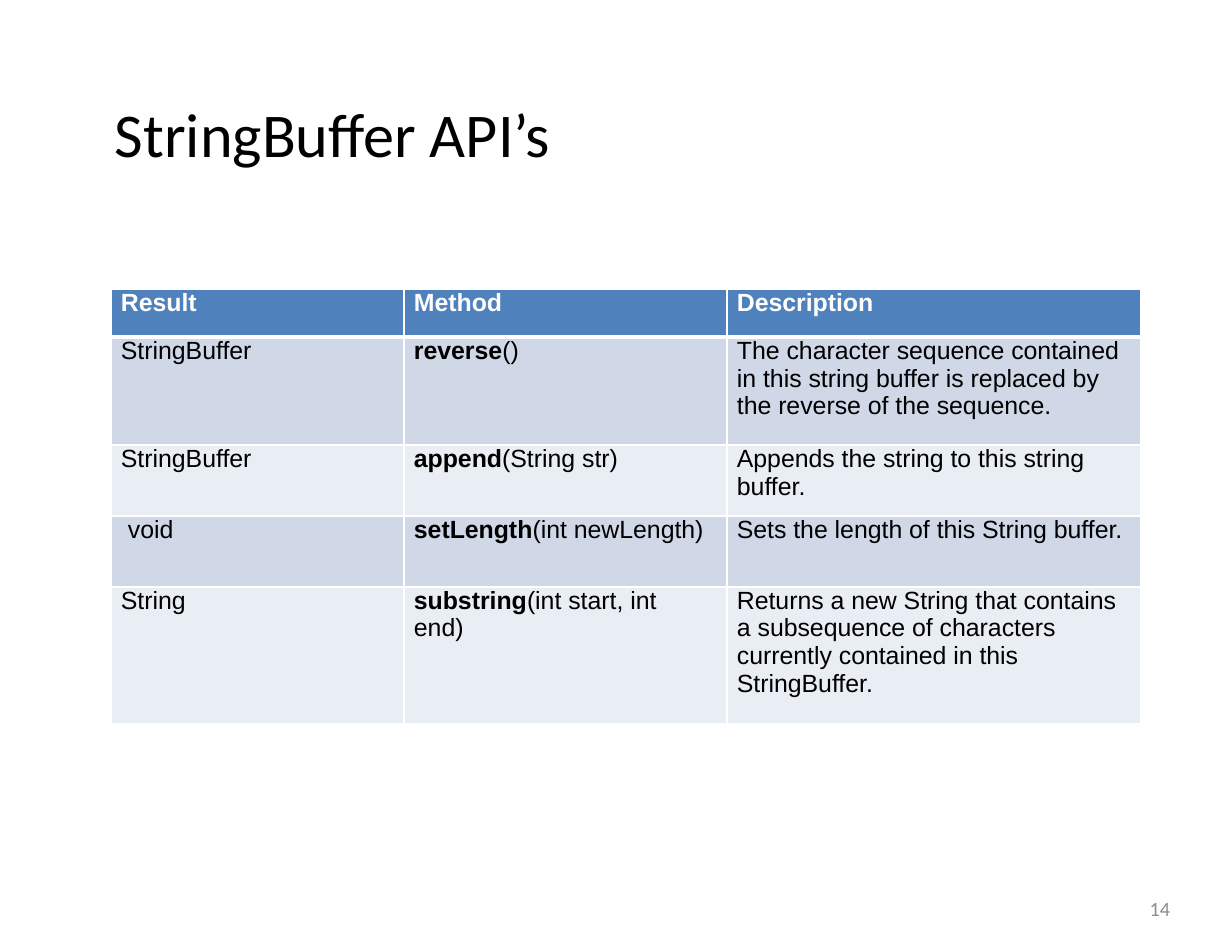
import pptx
import pptx.util
import pptx.oxml
import pptx.oxml.ns
import pptx.dml.color
import pptx.enum.text

RGB = pptx.dml.color.RGBColor
BLACK = RGB(0x00, 0x00, 0x00)
WHITE = RGB(0xFF, 0xFF, 0xFF)
GRAY = RGB(0x8C, 0x8C, 0x8C)
HEADER_BLUE = RGB(0x4F, 0x81, 0xBD)
BANDS = [RGB(0xD0, 0xD8, 0xE8), RGB(0xE9, 0xED, 0xF4)]

# Content
TITLE = "StringBuffer API’s"
PAGE_NUMBER = "14"
HEADINGS = ["Result", "Method", "Description"]
METHODS = [  # result, method name, arguments, description
    ("StringBuffer", "reverse", "()",
     "The character sequence contained in this string buffer is replaced by "
     "the reverse of the sequence."),
    ("StringBuffer", "append", "(String str)",
     "Appends the string to this string buffer."),
    ("void", "setLength", "(int newLength)",
     "Sets the length of this String buffer."),
    ("String", "substring", "(int start, int end)",
     "Returns a new String that contains a subsequence of characters "
     "currently contained in this StringBuffer."),
]

# Layout in px
PAGE = (1232, 952)
TITLE_BOX = (115, 95, 994, 75)
NUMBER_BOX = (883, 883, 287, 50)
TABLE_LEFT, TABLE_TOP = 111, 289
COLUMN_WIDTHS = [293, 323, 414]
ROW_HEIGHTS = [48, 108, 71, 71, 137]
CELL_INDENT = 10
VOID_INDENT = 17
RIGHT_MARGINS = [0, 18, 10]
THIN, THICK = 1.1, 3.1  # border widths in points


def px(length):
    return pptx.util.Emu(round(length * 914400 / 112))


def add_span(para, text, **formats):
    span = para.add_run()
    span.text = text
    color = formats.pop("color")
    formats["size"] = pptx.util.Pt(formats["size"])
    for name, value in formats.items():
        setattr(span.font, name, value)
    span.font.color.rgb = color


def add_text(page, place, text, align, **formats):
    box = page.shapes.add_textbox(*map(px, place))
    frame_formats = dict(word_wrap=True, margin_left=0, margin_right=0,
                         margin_top=0, margin_bottom=0,
                         vertical_anchor=pptx.enum.text.MSO_ANCHOR.MIDDLE)
    for name, value in frame_formats.items():
        setattr(box.text_frame, name, value)
    para = box.text_frame.paragraphs[0]
    para.alignment = align
    add_span(para, text, name="Calibri", **formats)


def set_borders(cell, top, bottom):
    properties = cell._tc.get_or_add_tcPr()
    sides = [("lnL", THIN), ("lnR", THIN), ("lnT", top), ("lnB", bottom)]
    for index, (side, width) in enumerate(sides):
        line = pptx.oxml.parse_xml(
            f'<a:{side} {pptx.oxml.ns.nsdecls("a")} w="{pptx.util.Pt(width)}">'
            f'<a:solidFill><a:srgbClr val="{WHITE}"/></a:solidFill></a:{side}>')
        properties.insert(index, line)


def add_method_table(page):
    rows = [[[(heading, True)] for heading in HEADINGS]]
    for result, method, arguments, description in METHODS:
        rows.append([[(result, False)],
                     [(method, True), (arguments, False)],
                     [(description, False)]])
    table = page.shapes.add_table(
        len(rows), len(HEADINGS), px(TABLE_LEFT), px(TABLE_TOP),
        px(sum(COLUMN_WIDTHS)), px(sum(ROW_HEIGHTS))).table
    for column, width in zip(table.columns, COLUMN_WIDTHS):
        column.width = px(width)
    for row, height in zip(table.rows, ROW_HEIGHTS):
        row.height = px(height)

    for r, row in enumerate(rows):
        for c, spans in enumerate(row):
            cell = table.cell(r, c)
            indent = VOID_INDENT if spans[0][0] == "void" else CELL_INDENT
            margins = dict(margin_left=px(indent), margin_top=0,
                           margin_right=px(RIGHT_MARGINS[c]), margin_bottom=0)
            for name, value in margins.items():
                setattr(cell, name, value)
            cell.fill.solid()
            cell.fill.fore_color.rgb = BANDS[(r - 1) % 2] if r else HEADER_BLUE
            set_borders(cell, THICK if r == 1 else THIN, THICK if r == 0 else THIN)
            for text, bold in spans:
                add_span(cell.text_frame.paragraphs[0], text, name="Arial", size=16,
                         bold=bold, color=BLACK if r else WHITE)


def main():
    deck = pptx.Presentation()
    deck.slide_width, deck.slide_height = map(px, PAGE)
    page = deck.slides.add_slide(deck.slide_layouts[6])
    align = pptx.enum.text.PP_ALIGN
    add_text(page, TITLE_BOX, TITLE, align.LEFT, size=40, color=BLACK)
    add_text(page, NUMBER_BOX, PAGE_NUMBER, align.RIGHT, size=13, color=GRAY)
    add_method_table(page)
    deck.save("out.pptx")


if __name__ == "__main__":
    main()
